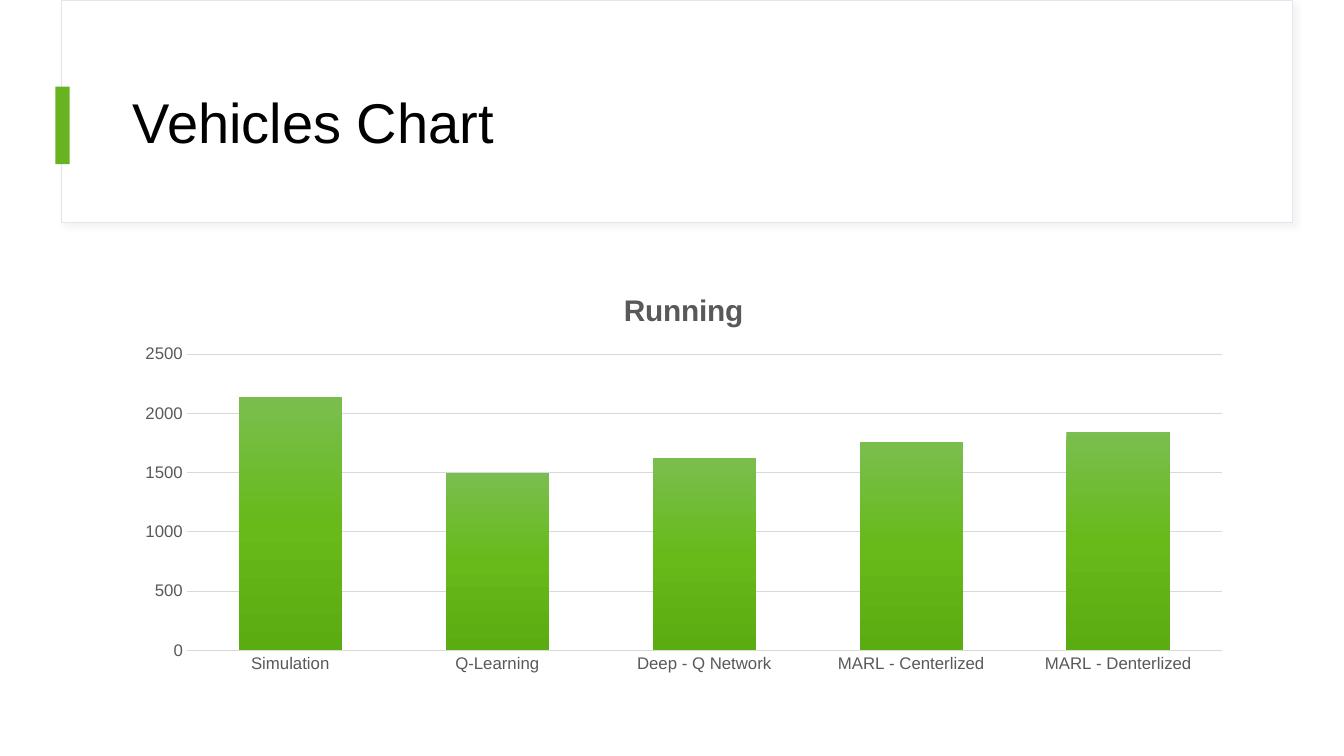
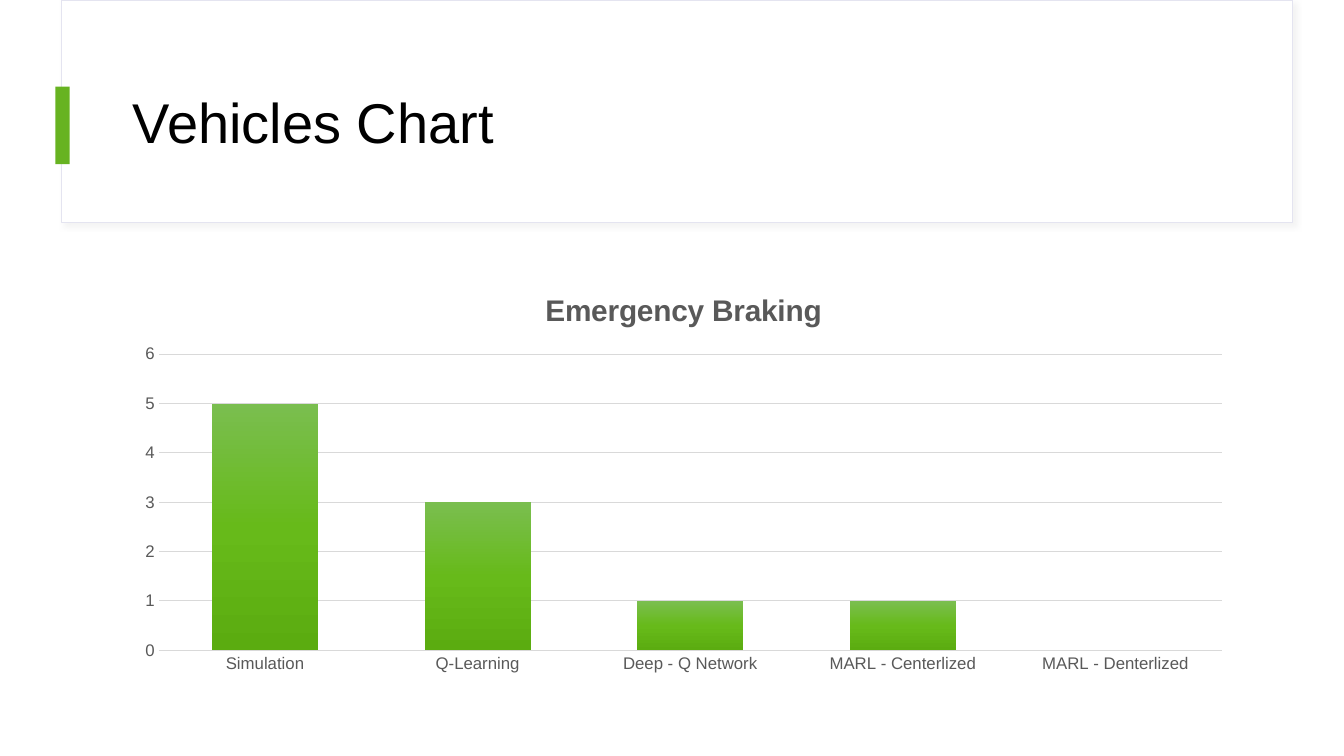
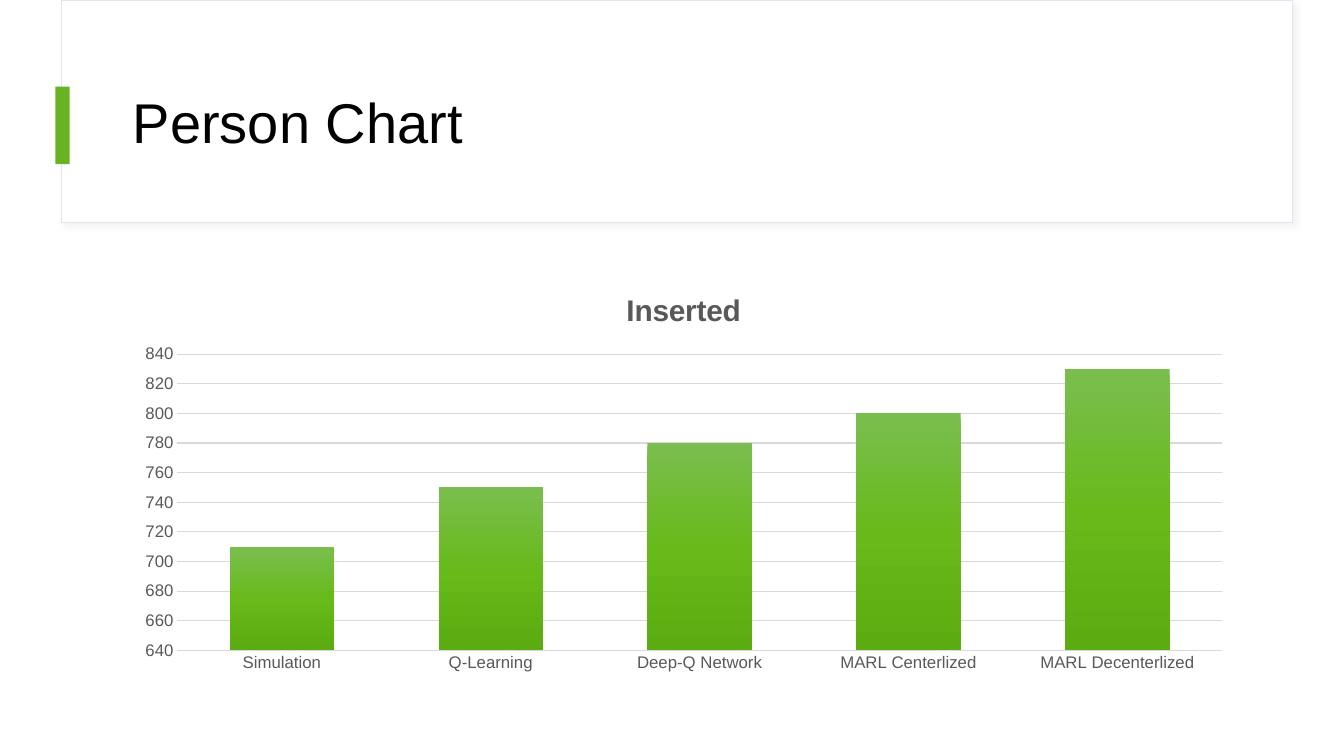
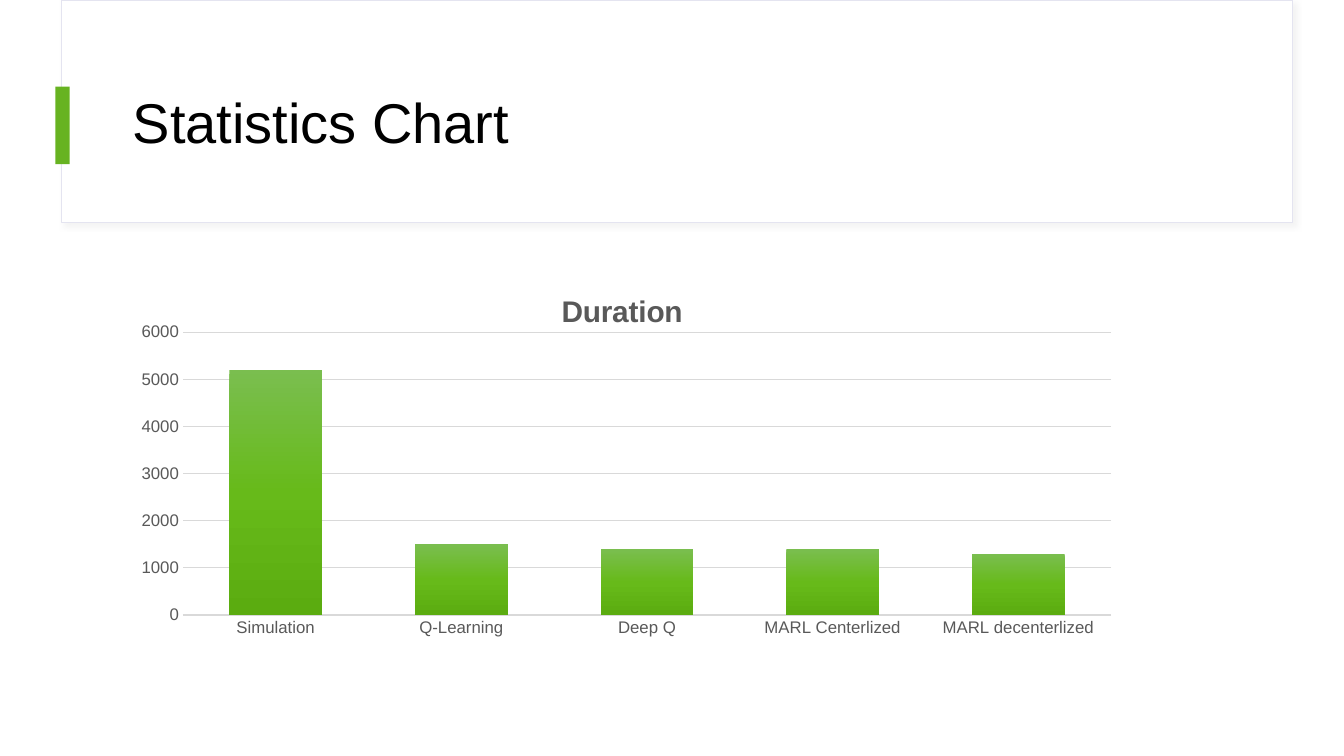
import copy
import dataclasses

import lxml.etree
import pptx
import pptx.chart.data
import pptx.dml.color
import pptx.enum.chart
import pptx.enum.shapes
import pptx.enum.text
import pptx.oxml.ns
import pptx.util

Inches = pptx.util.Inches
Pt = pptx.util.Pt
qn = pptx.oxml.ns.qn


@dataclasses.dataclass(frozen=True)
class Theme:
    """Colours, font and type sizes of the deck."""
    font: str = "Arial"
    white: str = "FFFFFF"
    ink: str = "000000"
    grey: str = "595959"
    rule: str = "D9D9D9"
    edge: str = "E4E4F0"
    accent: str = "67B321"
    stops: tuple = ((0, "7ABE4F"), (0.5, "67BA1A"), (1, "5BAC10"))
    head: float = 40
    title: float = 21.3
    label: float = 12


THEME = Theme()
BAND = (0.61, 0, 12.21, 2.21)
WIDE = (1.22, 2.71, 11.12, 4.04)
SHORT = (1.22, 2.71, 9.9, 4.19)
MODELS = ("Simulation", "Q-Learning", "Deep - Q Network",
          "MARL - Centerlized", "MARL - Denterlized")
SLIDES = (
    dict(head="Vehicles Chart", box=WIDE, title="Running", cats=MODELS,
         vals=(2140, 1500, 1620, 1760, 1840), scale=(0, 2500, 500)),
    dict(head="Vehicles Chart", box=WIDE, title="Emergency Braking", cats=MODELS,
         vals=(5, 3, 1, 1, 0), scale=(0, 6, 1)),
    dict(head="Person Chart", box=WIDE, title="Inserted",
         cats=("Simulation", "Q-Learning", "Deep-Q Network",
               "MARL Centerlized", "MARL Decenterlized"),
         vals=(710, 750, 780, 800, 830), scale=(640, 840, 20)),
    dict(head="Statistics Chart", box=SHORT, title="Duration", name="Series 1",
         cats=("Simulation", "Q-Learning", "Deep Q",
               "MARL Centerlized", "MARL decenterlized"),
         vals=(5200, 1500, 1400, 1400, 1300), scale=(0, 6000, 1000),
         plot=(0.06, 0.14, 0.93, 0.67)),
)


def color(code):
    """Return the colour for a hex code."""
    return pptx.dml.color.RGBColor.from_string(code)


def style(font, size, code, bold=False):
    """Set face, size, colour and weight of a font."""
    font.name, font.size, font.bold = THEME.font, Pt(size), bold
    font.color.rgb = color(code)


def block(slide, box, fill, line=None):
    """Add a plain rectangle and return it."""
    shape = slide.shapes.add_shape(
        pptx.enum.shapes.MSO_SHAPE.RECTANGLE, *map(Inches, box))
    shape.shadow.inherit = False
    shape.fill.solid()
    shape.fill.fore_color.rgb = color(fill)
    if line:
        shape.line.color.rgb = color(line)
        shape.line.width = Pt(0.75)
    else:
        shape.line.fill.background()
    return shape


def shade(shape):
    """Give a shape a faint shadow to the lower right."""
    effects = shape.element.spPr.find(qn("a:effectLst"))
    outer = lxml.etree.SubElement(
        effects, qn("a:outerShdw"), blurRad=str(Pt(4)), dist=str(Pt(3)),
        dir="2700000", algn="tl", rotWithShape="0")
    tint = lxml.etree.SubElement(outer, qn("a:srgbClr"), val=THEME.rule)
    lxml.etree.SubElement(tint, qn("a:alpha"), val="30000")


def header(slide, box, text):
    """Draw the title band with its accent mark and heading."""
    left, top, width, height = box
    shade(block(slide, box, THEME.white, THEME.edge))
    block(slide, (left - 0.06, top + 0.86, 0.14, 0.77), THEME.accent)
    area = (left + 0.61, top + 0.6, width - 1.09, 1.29)
    frame = slide.shapes.add_textbox(*map(Inches, area)).text_frame
    frame.word_wrap = True
    frame.vertical_anchor = pptx.enum.text.MSO_ANCHOR.MIDDLE
    para = frame.paragraphs[0]
    para.text = text
    para.line_spacing = 0.9
    style(para.font, THEME.head, THEME.ink)


def blend(fill):
    """Fill from top to bottom with the theme's colour stops."""
    fill.gradient()
    fill.gradient_angle = 270
    first = fill.gradient_stops[0].element
    first.addnext(copy.deepcopy(first))
    for stop, (place, code) in zip(fill.gradient_stops, THEME.stops):
        stop.position = place
        stop.color.rgb = color(code)


def arrange(chart, plot):
    """Fix the inner plot area as shares of the chart."""
    area = chart.element.find(".//" + qn("c:plotArea"))
    for old in area.findall(qn("c:layout")):
        area.remove(old)
    layout = lxml.etree.Element(qn("c:layout"))
    area.insert(0, layout)
    manual = lxml.etree.SubElement(layout, qn("c:manualLayout"))
    pairs = (("layoutTarget", "inner"), ("xMode", "edge"), ("yMode", "edge"),
             *zip("xywh", plot))
    for tag, value in pairs:
        lxml.etree.SubElement(manual, qn("c:" + tag), val=str(value))


def axes(chart, scale):
    """Style both axes and set the value range."""
    marks = pptx.enum.chart.XL_TICK_MARK
    for axis in (chart.category_axis, chart.value_axis):
        axis.major_tick_mark = axis.minor_tick_mark = marks.NONE
        style(axis.tick_labels.font, THEME.label, THEME.grey)
    base = chart.category_axis.format.line
    base.color.rgb, base.width = color(THEME.rule), Pt(1)
    axis = chart.value_axis
    axis.minimum_scale, axis.maximum_scale, axis.major_unit = scale
    axis.format.line.fill.background()
    grid = axis.major_gridlines.format.line
    grid.color.rgb, grid.width = color(THEME.rule), Pt(0.75)


def columns(slide, box, title, cats, vals, scale, name=None, plot=None):
    """Add a titled column chart in the given box."""
    data = pptx.chart.data.CategoryChartData()
    data.categories = cats
    data.add_series(name or title, vals)
    chart = slide.shapes.add_chart(
        pptx.enum.chart.XL_CHART_TYPE.COLUMN_CLUSTERED,
        *map(Inches, box), data).chart
    style(chart.font, 10, THEME.ink)
    chart.has_legend = False
    para = chart.chart_title.text_frame.paragraphs[0]
    para.text = title
    style(para.font, THEME.title, THEME.grey, True)
    bars = chart.plots[0]
    bars.gap_width, bars.overlap, bars.vary_by_categories = 100, -24, False
    blend(bars.series[0].format.fill)
    axes(chart, scale)
    if plot:
        arrange(chart, plot)


def main():
    """Build the deck and save it."""
    deck = pptx.Presentation()
    deck.slide_width, deck.slide_height = Inches(13.33), Inches(7.5)
    for page in SLIDES:
        slide = deck.slides.add_slide(deck.slide_layouts[6])
        parts = dict(page)
        header(slide, BAND, parts.pop("head"))
        columns(slide, **parts)
    deck.save("out.pptx")


if __name__ == "__main__":
    main()
